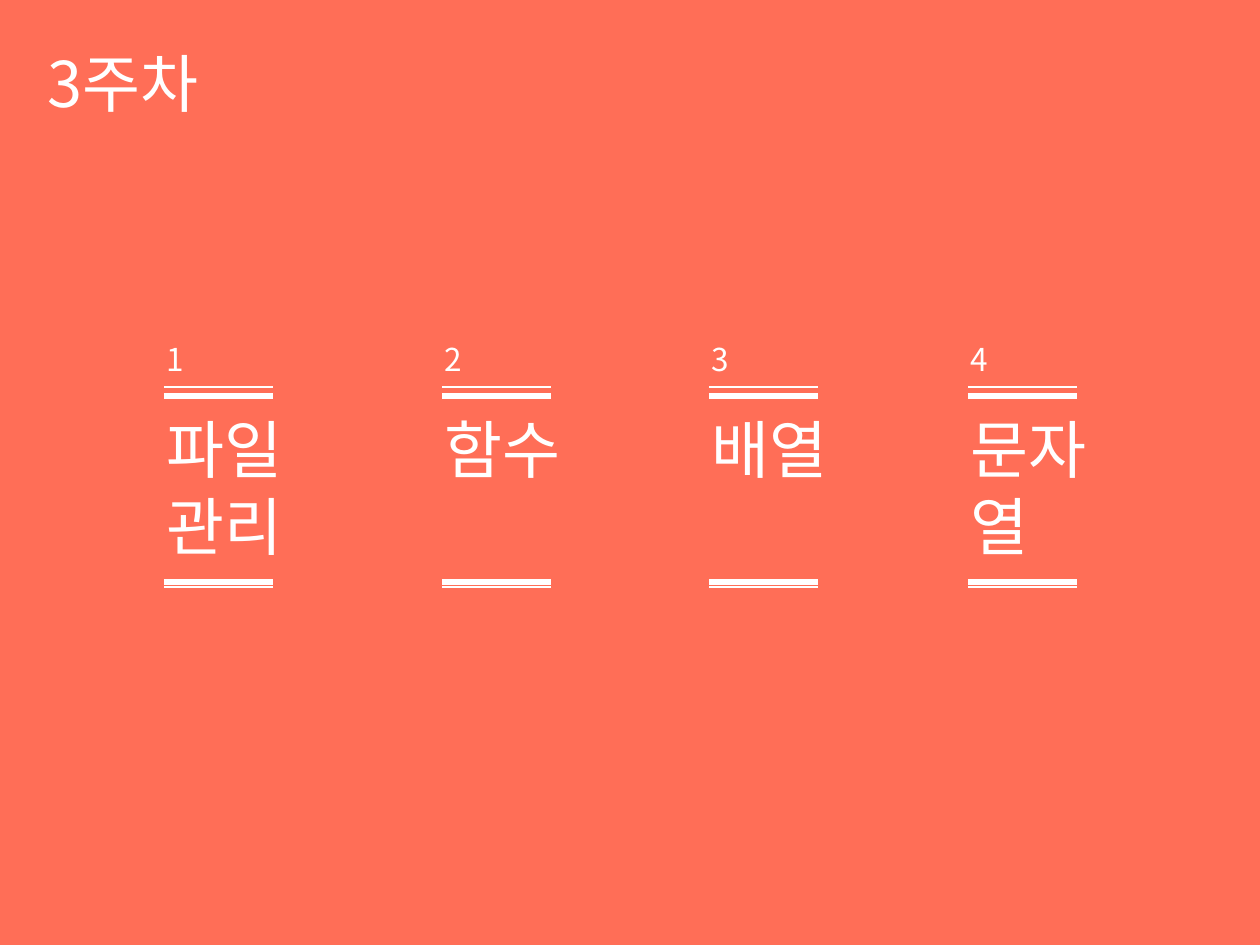
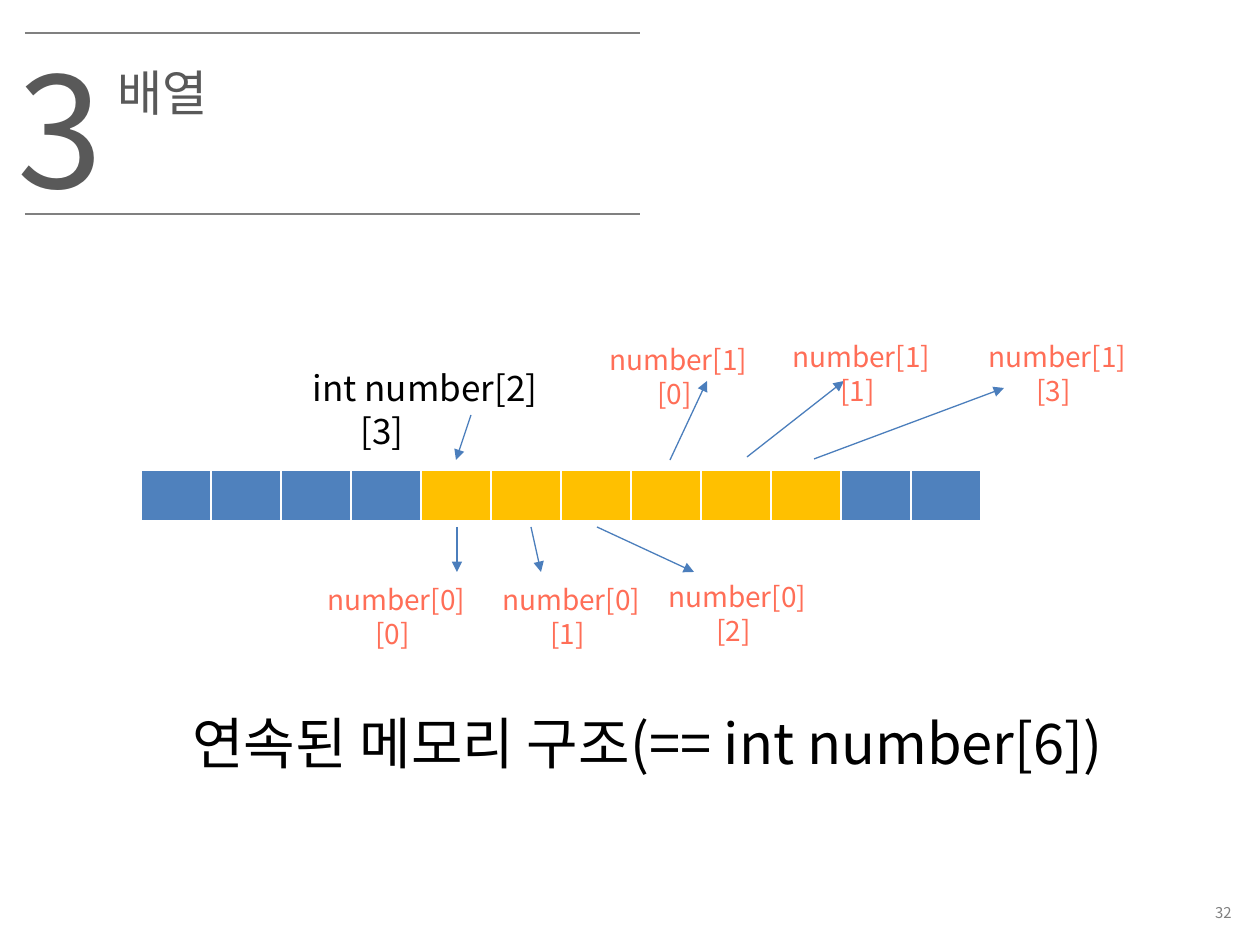
"""Build two lecture slides: the week 3 overview and the array memory layout."""

import dataclasses
import typing

import lxml.etree
import pptx
import pptx.dml.color
import pptx.enum.shapes
import pptx.enum.text
import pptx.oxml.ns
import pptx.slide
import pptx.util

EMU_PER_PX = 914400 / 126
SLIDE_WIDTH, SLIDE_HEIGHT = 1260, 945
HANGING_INDENT = 48
ALIGN = pptx.enum.text.PP_ALIGN
ANCHOR = pptx.enum.text.MSO_ANCHOR


@dataclasses.dataclass(frozen=True)
class Theme:
    """Colours, type sizes and line widths of the deck."""

    font: str = "Noto Sans CJK KR"
    line_spacing: float = 1.22
    coral: str = "FF6E57"
    white: str = "FFFFFF"
    black: str = "000000"
    heading: str = "595959"
    grey: str = "808080"
    arrow: str = "4B7EBC"
    memory: str = "4F81BD"
    array: str = "FFC000"
    topic_size: float = 36
    topic_number_size: float = 18
    chapter_size: float = 88
    title_size: float = 28
    summary_size: float = 32
    declaration_size: float = 20
    element_size: float = 16
    page_number_size: float = 8.5
    thin: float = 0.75
    thick: float = 3


THEME = Theme()


class Topic(typing.NamedTuple):
    """A numbered topic of the week."""

    text: str
    left: int
    width: int = 159


class Label(typing.NamedTuple):
    """A hanging-indent text with its place and style."""

    text: str
    left: int
    top: int
    width: int
    height: int
    size: float
    color: str


class Line(typing.NamedTuple):
    """The two ends of a straight line."""

    x1: int
    y1: int
    x2: int
    y2: int


TOPICS = [
    Topic("파일\n관리", 154),
    Topic("함수", 432),
    Topic("배열", 699),
    Topic("문자열", 958, 189),
]
RULES = [(387, THEME.thin), (396, THEME.thick), (582, THEME.thick), (587, THEME.thin)]
ELEMENTS = [
    ("number[0][0]", 315, 576),
    ("number[0][1]", 490, 576),
    ("number[0][2]", 656, 573),
    ("number[1][0]", 597, 336),
    ("number[1][1]", 780, 333),
    ("number[1][3]", 976, 333),
]
LABELS = [
    Label("배열", 105, 55, 566, 72, THEME.title_size, THEME.heading),
    Label("3", 5, 25, 100, 199, THEME.chapter_size, THEME.heading),
    Label("int number[2][3]", 300, 360, 277, 55, THEME.declaration_size, THEME.black),
    Label("연속된 메모리 구조(== int number[6])", 180, 701, 977, 81,
          THEME.summary_size, THEME.black),
    *(Label(text, left, top, 180, 47, THEME.element_size, THEME.coral)
      for text, left, top in ELEMENTS),
]
ARROWS = [
    Line(471, 415, 456, 460),
    Line(457, 527, 457, 572),
    Line(531, 527, 541, 572),
    Line(597, 527, 694, 572),
    Line(670, 460, 707, 381),
    Line(747, 457, 844, 381),
    Line(814, 459, 1004, 388),
]


def px(length: float) -> pptx.util.Emu:
    """Turn pixels into EMU."""
    return pptx.util.Emu(round(length * EMU_PER_PX))


def rgb(color: str) -> pptx.dml.color.RGBColor:
    """Turn a hex string into a colour."""
    return pptx.dml.color.RGBColor.from_string(color)


def add_child(parent: typing.Any, tag: str, **attributes: str) -> typing.Any:
    """Append a DrawingML element to a parent element."""
    return lxml.etree.SubElement(parent, pptx.oxml.ns.qn(tag), attributes)


def add_text(page: pptx.slide.Slide, label: Label, indent: int = 0,
             align: ALIGN = ALIGN.LEFT, anchor: ANCHOR = ANCHOR.TOP) -> None:
    """Draw a wrapped text box."""
    box = page.shapes.add_textbox(
        px(label.left), px(label.top), px(label.width), px(label.height))
    frame = box.text_frame
    frame.word_wrap = True
    frame.vertical_anchor = anchor
    frame.text = label.text
    for para in frame.paragraphs:
        para.alignment = align
        para.line_spacing = pptx.util.Pt(label.size * THEME.line_spacing)
        if indent:
            properties = para._p.get_or_add_pPr()
            properties.set("marL", str(px(indent)))
            properties.set("indent", str(-px(indent)))
        for span in para.runs:
            span.font.size = pptx.util.Pt(label.size)
            span.font.color.rgb = rgb(label.color)
            span.font.name = THEME.font
            add_child(span._r.get_or_add_rPr(), "a:ea", typeface=THEME.font)


def add_line(page: pptx.slide.Slide, line: Line, color: str,
             width: float = THEME.thin, arrow: bool = False) -> None:
    """Draw a straight line, with an arrowhead at its end if asked."""
    connector = page.shapes.add_connector(
        pptx.enum.shapes.MSO_CONNECTOR.STRAIGHT, *(px(value) for value in line))
    connector.line.color.rgb = rgb(color)
    connector.line.width = pptx.util.Pt(width)
    if arrow:
        add_child(connector.line._get_or_add_ln(), "a:tailEnd", type="triangle")
    add_child(connector._element.spPr, "a:effectLst")


def add_memory(page: pptx.slide.Slide) -> None:
    """Draw the row of memory cells with the array cells highlighted."""
    count, cell_width, cell_height = 12, 70, 52
    frame = page.shapes.add_table(
        1, count, px(141), px(470), px(count * cell_width), px(cell_height))
    table = frame.table
    table.rows[0].height = px(cell_height)
    for index, column in enumerate(table.columns):
        column.width = px(cell_width)
        cell = table.cell(0, index)
        cell.margin_left = cell.margin_right = cell.margin_top = cell.margin_bottom = 0
        properties = cell._tc.get_or_add_tcPr()
        for side, width in zip("LRTB", (1, 1, 1, 3)):
            border = add_child(properties, f"a:ln{side}", w=str(pptx.util.Pt(width)))
            add_child(add_child(border, "a:solidFill"), "a:srgbClr", val=THEME.white)
        cell.fill.solid()
        cell.fill.fore_color.rgb = rgb(THEME.array if 4 <= index < 10 else THEME.memory)


def build_overview(page: pptx.slide.Slide) -> None:
    """Draw the topics of the week on a coral background."""
    background = page.shapes.add_shape(
        pptx.enum.shapes.MSO_SHAPE.RECTANGLE, 0, 0, px(SLIDE_WIDTH), px(SLIDE_HEIGHT))
    background.shadow.inherit = False
    background.fill.solid()
    background.fill.fore_color.rgb = rgb(THEME.coral)
    background.line.fill.background()
    add_text(page, Label("3주차", 35, 37, 427, 89, THEME.topic_size, THEME.white))
    for number, topic in enumerate(TOPICS, start=1):
        add_text(page, Label(str(number), topic.left, 333, 159, 50,
                             THEME.topic_number_size, THEME.white))
        height = 89 + 76 * topic.text.count("\n")
        add_text(page, Label(topic.text, topic.left, 403, topic.width, height,
                             THEME.topic_size, THEME.white))
        for y, width in RULES:
            add_line(page, Line(topic.left + 10, y, topic.left + 119, y),
                     THEME.white, width)


def build_array(page: pptx.slide.Slide) -> None:
    """Draw how a two-dimensional array lies in memory."""
    for y in (33, 214):
        add_line(page, Line(25, y, 640, y), THEME.grey)
    add_memory(page)
    for arrow in ARROWS:
        add_line(page, arrow, THEME.arrow, arrow=True)
    for label in LABELS:
        add_text(page, label, HANGING_INDENT)
    add_text(page, Label("32", 978, 895, 266, 34, THEME.page_number_size, THEME.grey),
             align=ALIGN.RIGHT, anchor=ANCHOR.MIDDLE)


def main() -> None:
    """Build and save the deck."""
    deck = pptx.Presentation()
    deck.slide_width, deck.slide_height = px(SLIDE_WIDTH), px(SLIDE_HEIGHT)
    for build in (build_overview, build_array):
        build(deck.slides.add_slide(deck.slide_layouts[6]))
    deck.save("out.pptx")


if __name__ == "__main__":
    main()
